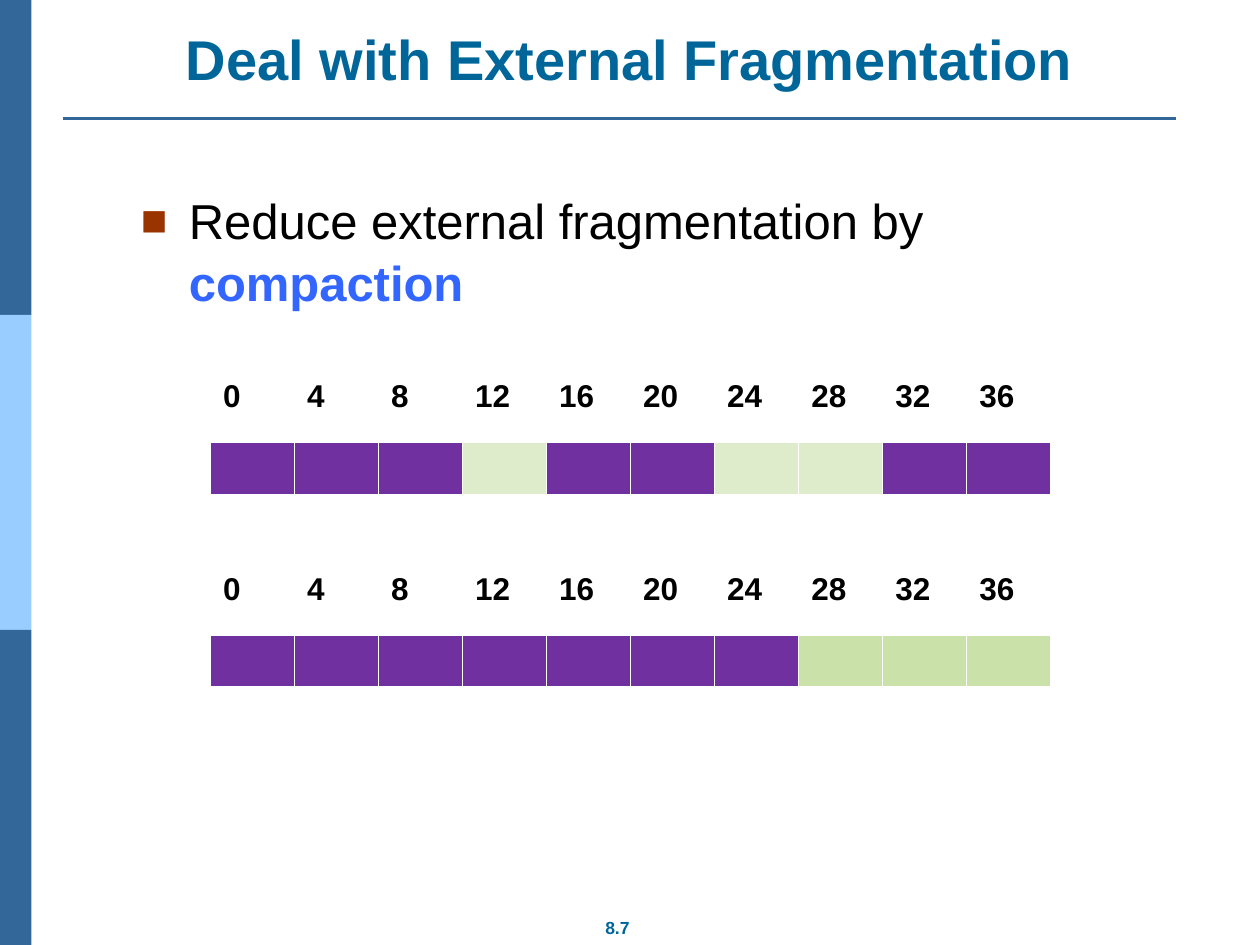
from dataclasses import dataclass

from lxml.etree import SubElement
from pptx import Presentation
from pptx.dml.color import RGBColor
from pptx.enum.shapes import MSO_CONNECTOR as Connector, MSO_SHAPE as Shape
from pptx.enum.text import MSO_ANCHOR as Anchor, PP_ALIGN as Align
from pptx.oxml.ns import qn
from pptx.util import Inches, Pt

NAVY, SKY, TEAL = "336699", "99CCFF", "006699"
BLACK, WHITE, BLUE, RUST = "000000", "FFFFFF", "3366FF", "993300"
USED, FREE, FREE_MERGED = "7030A0", "DEECCB", "CAE2AA"
BLOCK_SIZE = 4
THIN, THICK = Pt(0.45), Pt(1.47)


@dataclass
class MemoryMap:
    top: float
    blocks: str  # one letter a block: U used, F free
    free_color: str


MEMORY_MAPS = [
    MemoryMap(2.96, "UUUFUUFFUU", FREE),
    MemoryMap(4.49, "UUUUUUUFFF", FREE_MERGED),
]


def rgb(value: str) -> RGBColor:
    return RGBColor.from_string(value)


def add_run(p, text: str, size: float, color: str, bold: bool = True) -> None:
    r = p.add_run()
    r.text = text
    for name, value in {"name": "Arial", "size": Pt(size), "bold": bold}.items():
        setattr(r.font, name, value)
    r.font.color.rgb = rgb(color)


def add_box(s, left: float, top: float, width: float, height: float, **frame):
    """Add a text box, apply the frame settings and return its first paragraph."""
    box = s.shapes.add_textbox(Inches(left), Inches(top), Inches(width), Inches(height))
    tf = box.text_frame
    for name, value in frame.items():
        setattr(tf, name, value)
    return tf.paragraphs[0]


def add_band(s, top: float, color: str) -> None:
    sp = s.shapes.add_shape(Shape.RECTANGLE, 0, Inches(top), Inches(0.25), Inches(2.5))
    sp.shadow.inherit = False
    sp.fill.solid()
    sp.fill.fore_color.rgb = rgb(color)
    sp.line.fill.background()


def add_rule(s) -> None:
    y = Inches(0.94)
    rule = s.shapes.add_connector(Connector.STRAIGHT, Inches(0.5), y, Inches(9.33), y)
    rule.line.color.rgb = rgb(NAVY)
    rule.line.width = Pt(1.5)
    SubElement(rule._element.spPr, qn("a:effectLst"))


def set_square_bullet(p) -> None:
    pPr = p._p.get_or_add_pPr()
    pPr.set("marL", str(Inches(0.38)))
    pPr.set("indent", str(-Inches(0.38)))
    color = SubElement(pPr, qn("a:buClr"))
    SubElement(color, qn("a:srgbClr"), val=RUST)
    SubElement(pPr, qn("a:buSzPct"), val="90000")
    SubElement(pPr, qn("a:buFont"), typeface="Arial")
    SubElement(pPr, qn("a:buChar"), char="■")


def set_borders(cell, top: int, bottom: int) -> None:
    tcPr = cell._tc.get_or_add_tcPr()
    for side, width in {"L": THIN, "R": THIN, "T": top, "B": bottom}.items():
        ln = SubElement(tcPr, qn(f"a:ln{side}"), w=str(width))
        fill = SubElement(ln, qn("a:solidFill"))
        SubElement(fill, qn("a:srgbClr"), val=WHITE)


def add_memory_map(s, memory: MemoryMap) -> None:
    count = len(memory.blocks)
    frame = s.shapes.add_table(2, count, Inches(1.67), Inches(memory.top),
                               Inches(6.67), Inches(0.96))
    table = frame.table
    table.first_row = table.horz_banding = False
    for row, height in zip(table.rows, (0.55, 0.41)):
        row.height = Inches(height)
    for i, block in enumerate(memory.blocks):
        table.columns[i].width = Inches(6.67 / count)
        label, cell = table.cell(0, i), table.cell(1, i)
        set_borders(label, THIN, THICK)
        label.fill.background()
        add_run(label.text_frame.paragraphs[0], str(i * BLOCK_SIZE), 18, BLACK)
        set_borders(cell, THICK, THIN)
        cell.fill.solid()
        cell.fill.fore_color.rgb = rgb(USED if block == "U" else memory.free_color)


def main() -> None:
    prs = Presentation()
    prs.slide_width, prs.slide_height = Inches(10), Inches(7.5)
    s = prs.slides.add_slide(prs.slide_layouts[6])

    for i, color in enumerate((NAVY, SKY, NAVY)):
        add_band(s, i * 2.5, color)
    add_rule(s)

    p = add_box(s, 4.41, 7.23, 0.98, 0.27, word_wrap=False)
    p.alignment = Align.CENTER
    add_run(p, "8.7", 10, TEAL)

    p = add_box(s, 0.5, 0.15, 9, 0.63, word_wrap=True, vertical_anchor=Anchor.BOTTOM)
    p.alignment = Align.CENTER
    add_run(p, "Deal with External Fragmentation", 32, TEAL)

    p = add_box(s, 1.02, 1.44, 8.48, 4.95, word_wrap=True)
    set_square_bullet(p)
    p.line_spacing = 1.05
    add_run(p, "Reduce external fragmentation by ", 28, BLACK, bold=False)
    add_run(p, "compaction", 28, BLUE)

    for memory in MEMORY_MAPS:
        add_memory_map(s, memory)

    prs.save("out.pptx")


if __name__ == "__main__":
    main()
